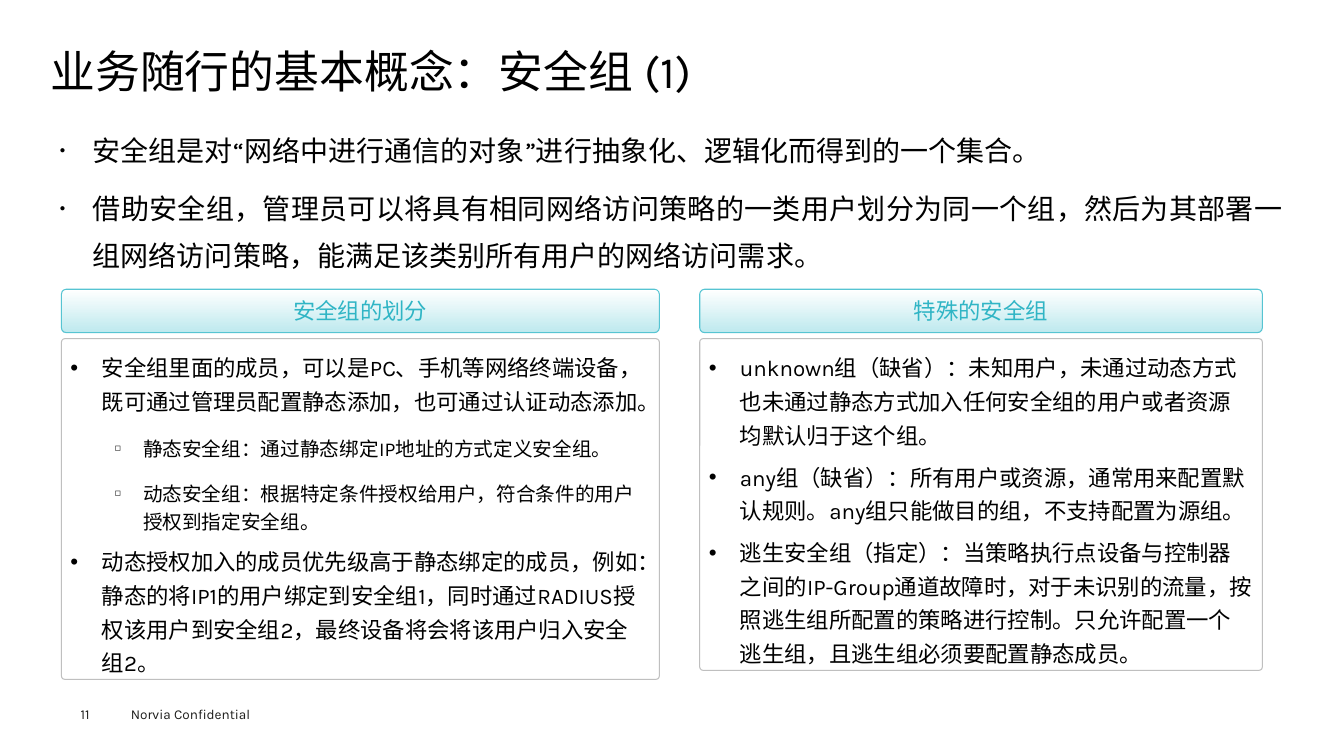
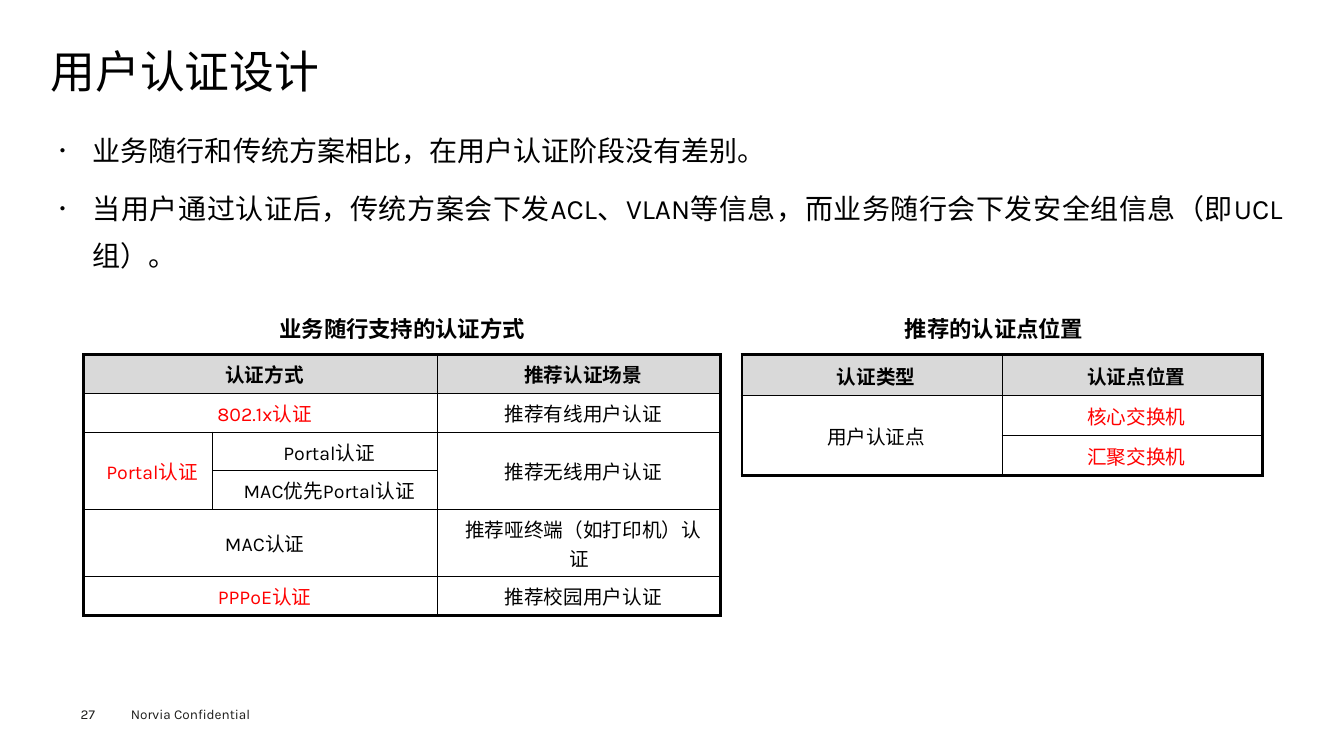
from dataclasses import dataclass, replace

from lxml import etree
from pptx import Presentation
from pptx.dml.color import RGBColor
from pptx.enum.lang import MSO_LANGUAGE_ID
from pptx.enum.shapes import MSO_SHAPE
from pptx.enum.text import MSO_ANCHOR, MSO_AUTO_SIZE, PP_ALIGN
from pptx.oxml.ns import qn
from pptx.util import Inches, Pt

BLACK = RGBColor(0x00, 0x00, 0x00)
WHITE = RGBColor(0xFF, 0xFF, 0xFF)
RED = RGBColor(0xFF, 0x00, 0x00)
INK = RGBColor(0x1D, 0x1D, 0x1B)
TEAL = RGBColor(0x30, 0xB5, 0xC5)
TEAL_LINE = RGBColor(0x56, 0xC4, 0xD2)
PALE_TEAL = RGBColor(0xBE, 0xE9, 0xEE)
PANEL_LINE = RGBColor(0xBF, 0xBF, 0xBF)
HEADER_GREY = RGBColor(0xD9, 0xD9, 0xD9)

ROUNDED = MSO_SHAPE.ROUNDED_RECTANGLE
LEFT, CENTER, JUSTIFY = PP_ALIGN.LEFT, PP_ALIGN.CENTER, PP_ALIGN.JUSTIFY
TOP, MIDDLE = MSO_ANCHOR.TOP, MSO_ANCHOR.MIDDLE
NO_FIT = MSO_AUTO_SIZE.NONE
CHINESE = MSO_LANGUAGE_ID.SIMPLIFIED_CHINESE

FONT = "Karla"
BULLET_FONT = "Arial"
CONFIDENTIAL = "Norvia Confidential"
HEADING_TOP, HEADING_HEIGHT = 2.87, 0.43
PANEL_TOP = 3.36
CAPTION_TOP, TABLE_TOP = 3.04, 3.52
DEFAULT_INSETS = (0.1, 0.05, 0.1, 0.05)
OUTER_BORDER, INNER_BORDER = Pt(2.25), Pt(1)


@dataclass(frozen=True)
class ParaStyle:
    """Sizes are points, margin and indent inches; line is a factor or a Pt length."""
    size: float
    color: RGBColor = BLACK
    bold: bool = False
    align: PP_ALIGN = LEFT
    line: float = 1.0
    before: float = 0
    after: float = 0
    margin: float = 0
    indent: float = 0
    bullet: str = ""
    bullet_percent: int = 100
    east_asian: str = FONT


TITLE = ParaStyle(32, line=0.9)
FOOTER = ParaStyle(9.7, INK)
BODY = ParaStyle(20, align=JUSTIFY, line=1.4, before=7.9, margin=0.33,
                 indent=-0.33, bullet="●", bullet_percent=35)
HEADING = ParaStyle(16, TEAL, align=CENTER)
CAPTION = replace(HEADING, color=BLACK, bold=True)
POINT = ParaStyle(16, line=Pt(24), after=6, margin=0.31, indent=-0.31, bullet="•")
SUBPOINT = ParaStyle(14, line=1.2, before=6, after=6, margin=0.72,
                     indent=-0.28, bullet="◻", bullet_percent=50)
CELL = ParaStyle(14, align=CENTER, indent=0.08, east_asian="")
CELL_HEADER = replace(CELL, bold=True)
CELL_RED = replace(CELL, color=RED)


class Deck:
    def __init__(self):
        self.deck = Presentation()
        self.deck.slide_width = Inches(13.33)
        self.deck.slide_height = Inches(7.5)
        self.page = None

    def add_page(self, title, number):
        self.page = self.deck.slides.add_slide(self.deck.slide_layouts[5])
        box = self.page.shapes.title
        box.left, box.top, box.width, box.height = map(Inches, (0.5, 0.49, 12.31, 0.53))
        self.fill_frame(box.text_frame, [(title, TITLE)], (0, 0, 0, 0))
        self.text((1.2, 6.95, 1.6, 0.27), [(CONFIDENTIAL, FOOTER)])
        self.text((0.8, 7, 0.55, 0.16), [(number, FOOTER)], (0, 0, 0, 0))

    def format_para(self, para, style, first):
        properties = para._p.get_or_add_pPr()
        properties.set("marL", str(Inches(style.margin)))
        properties.set("indent", str(Inches(style.indent)))
        if style.bullet:
            size = etree.SubElement(properties, qn("a:buSzPct"))
            size.set("val", str(style.bullet_percent * 1000))
            etree.SubElement(properties, qn("a:buFont")).set("typeface", BULLET_FONT)
            etree.SubElement(properties, qn("a:buChar")).set("char", style.bullet)
        para.alignment = style.align
        para.line_spacing = style.line
        para.space_before = Pt(0 if first else style.before)
        para.space_after = Pt(style.after)
        for span in para.runs:
            span.font.size = Pt(style.size)
            span.font.bold = style.bold
            span.font.color.rgb = style.color
            span.font.name = FONT
            span.font.language_id = CHINESE
            if style.east_asian:
                east_asian = etree.Element(qn("a:ea"))
                east_asian.set("typeface", style.east_asian)
                span._r.rPr.find(qn("a:latin")).addnext(east_asian)

    def fill_frame(self, frame, lines, insets=DEFAULT_INSETS, anchor=TOP):
        """Write (text, style) pairs, one paragraph each."""
        frame.word_wrap = True
        frame.auto_size = NO_FIT
        frame.vertical_anchor = anchor
        (frame.margin_left, frame.margin_top,
         frame.margin_right, frame.margin_bottom) = map(Inches, insets)
        frame.text = "\n".join(text for text, _ in lines)
        for index, (para, (_, style)) in enumerate(zip(frame.paragraphs, lines)):
            self.format_para(para, style, index == 0)

    def text(self, place, lines, insets=DEFAULT_INSETS):
        box = self.page.shapes.add_textbox(*map(Inches, place))
        self.fill_frame(box.text_frame, lines, insets)

    def body(self, *texts):
        self.text((0.5, 1.15, 12.31, 1.6), [(text, BODY) for text in texts],
                  (0.09, 0.04, 0.09, 0.04))

    def rounded_box(self, place, radius, line_color=None):
        box = self.page.shapes.add_shape(ROUNDED, *map(Inches, place))
        box.adjustments[0] = radius
        box.shadow.inherit = False
        box.fill.background()
        if line_color is None:
            box.line.fill.background()
        else:
            box.line.color.rgb = line_color
            box.line.width = Pt(0.75)
        return box

    def panel(self, left, width, height, heading, lines):
        """Draw a gradient heading above an outlined box of bullet points."""
        bar = self.rounded_box((left, HEADING_TOP, width, HEADING_HEIGHT), 0.11, TEAL_LINE)
        bar.fill.gradient()
        bar.fill.gradient_angle = 270
        for stop, color in zip(bar.fill.gradient_stops, (WHITE, PALE_TEAL)):
            stop.color.rgb = color
        self.fill_frame(bar.text_frame, [(heading, HEADING)], anchor=MIDDLE)
        box = self.rounded_box((left, PANEL_TOP, width, height), 0.01, PANEL_LINE)
        self.fill_frame(box.text_frame, lines, (0.08,) * 4)

    def caption(self, left, width, text):
        box = self.rounded_box((left, CAPTION_TOP, width, HEADING_HEIGHT), 0.11)
        self.fill_frame(box.text_frame, [(text, CAPTION)], anchor=MIDDLE)

    def set_borders(self, cell, widths):
        """Widths come in the order left, right, top, bottom."""
        properties = cell._tc.get_or_add_tcPr()
        for position, (side, width) in enumerate(zip("LRTB", widths)):
            border = etree.Element(qn(f"a:ln{side}"), w=str(width))
            fill = etree.SubElement(border, qn("a:solidFill"))
            etree.SubElement(fill, qn("a:srgbClr")).set("val", str(BLACK))
            properties.insert(position, border)

    def table(self, left, column_widths, row_height, rows, merges, red_cells,
              insets=DEFAULT_INSETS):
        """Draw a grid; merges hold pairs of corner positions, None marks a covered cell."""
        row_count, column_count = len(rows), len(column_widths)
        place = (left, TABLE_TOP, sum(column_widths), row_height * row_count)
        table = self.page.shapes.add_table(row_count, column_count, *map(Inches, place)).table
        table.first_row = table.horz_banding = False
        for column, width in zip(table.columns, column_widths):
            column.width = Inches(width)
        for start, end in merges:
            table.cell(*start).merge(table.cell(*end))
        for row, texts in enumerate(rows):
            for column, text in enumerate(texts):
                cell = table.cell(row, column)
                if row == 0:
                    style = CELL_HEADER
                    cell.fill.solid()
                    cell.fill.fore_color.rgb = HEADER_GREY
                else:
                    style = CELL_RED if (row, column) in red_cells else CELL
                    cell.fill.background()
                edges = (column == 0, column + cell.span_width == column_count,
                         row == 0, row + cell.span_height == row_count)
                self.set_borders(cell, [OUTER_BORDER if edge else INNER_BORDER
                                        for edge in edges])
                cell.vertical_anchor = MIDDLE
                (cell.margin_left, cell.margin_top,
                 cell.margin_right, cell.margin_bottom) = map(Inches, insets)
                if text:
                    cell.text_frame.text = text
                    self.format_para(cell.text_frame.paragraphs[0], style, True)


def add_security_group_page(deck):
    deck.add_page("业务随行的基本概念：安全组 (1)", "11")
    deck.body(
        "安全组是对“网络中进行通信的对象”进行抽象化、逻辑化而得到的一个集合。",
        "借助安全组，管理员可以将具有相同网络访问策略的一类用户划分为同一个组，"
        "然后为其部署一组网络访问策略，能满足该类别所有用户的网络访问需求。")
    deck.panel(0.61, 5.93, 3.38, "安全组的划分", [
        ("安全组里面的成员，可以是PC、手机等网络终端设备，"
         "既可通过管理员配置静态添加，也可通过认证动态添加。", POINT),
        ("静态安全组：通过静态绑定IP地址的方式定义安全组。", SUBPOINT),
        ("动态安全组：根据特定条件授权给用户，符合条件的用户授权到指定安全组。", SUBPOINT),
        ("动态授权加入的成员优先级高于静态绑定的成员，例如：静态的将IP1的用户绑定到安全组1，"
         "同时通过RADIUS授权该用户到安全组2，最终设备将会将该用户归入安全组2。", POINT)])
    deck.panel(6.94, 5.58, 3.29, "特殊的安全组", [
        ("unknown组（缺省）：未知用户，未通过动态方式也未通过静态方式"
         "加入任何安全组的用户或者资源均默认归于这个组。", POINT),
        ("any组（缺省）：所有用户或资源，通常用来配置默认规则。"
         "any组只能做目的组，不支持配置为源组。", POINT),
        ("逃生安全组（指定）：当策略执行点设备与控制器之间的IP-Group通道故障时，"
         "对于未识别的流量，按照逃生组所配置的策略进行控制。"
         "只允许配置一个逃生组，且逃生组必须要配置静态成员。", POINT)])


def add_authentication_page(deck):
    deck.add_page("用户认证设计", "27")
    deck.body(
        "业务随行和传统方案相比，在用户认证阶段没有差别。",
        "当用户通过认证后，传统方案会下发ACL、VLAN等信息，"
        "而业务随行会下发安全组信息（即UCL组）。")
    deck.caption(0.83, 6.32, "业务随行支持的认证方式")
    deck.caption(7.19, 5.34, "推荐的认证点位置")
    deck.table(
        0.83, (1.28, 2.23, 2.81), 0.34,
        [("认证方式", None, "推荐认证场景"),
         ("802.1x认证", None, "推荐有线用户认证"),
         ("Portal认证", "Portal认证", "推荐无线用户认证"),
         (None, "MAC优先Portal认证", None),
         ("MAC认证", None, "推荐哑终端（如打印机）认证"),
         ("PPPoE认证", None, "推荐校园用户认证")],
        merges=[((row, 0), (row, 1)) for row in (0, 1, 4, 5)]
        + [((2, column), (3, column)) for column in (0, 2)],
        red_cells={(1, 0), (2, 0), (5, 0)})
    deck.table(
        7.36, (2.58, 2.58), 0.4,
        [("认证类型", "认证点位置"),
         ("用户认证点", "核心交换机"),
         (None, "汇聚交换机")],
        merges=[((1, 0), (2, 0))],
        red_cells={(1, 1), (2, 1)},
        insets=(0.01, 0.01, 0.01, 0))


def main():
    deck = Deck()
    add_security_group_page(deck)
    add_authentication_page(deck)
    deck.deck.save("out.pptx")


if __name__ == "__main__":
    main()
